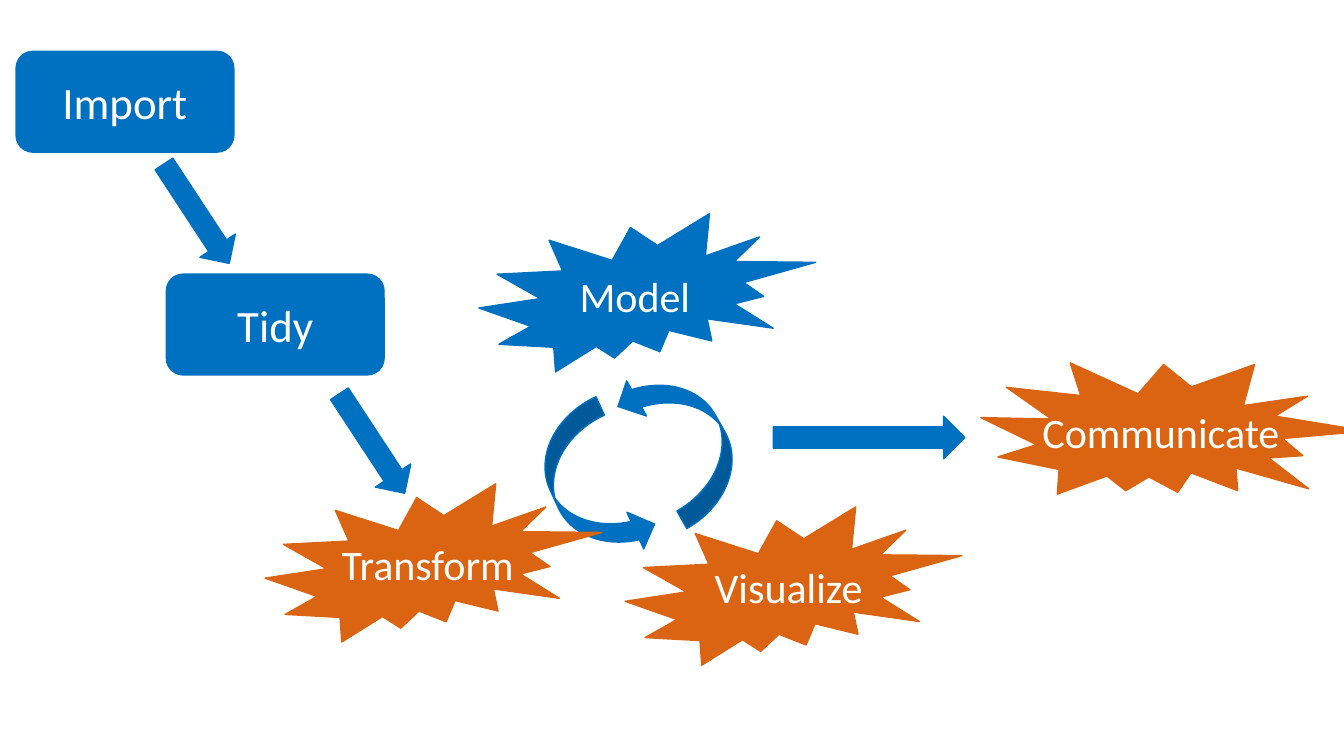
from pptx import Presentation
from pptx.dml.color import RGBColor
from pptx.enum.shapes import MSO_SHAPE
from pptx.enum.text import MSO_ANCHOR, MSO_AUTO_SIZE, PP_ALIGN
from pptx.util import Inches, Pt

BLUE, ORANGE, WHITE = "0070C0", "DB6413", "FFFFFF"
FONT = "Calibri"


def paint(color_format, color):
    """Give a fill, line or font colour its hex value."""
    color_format.rgb = RGBColor.from_string(color)


def write(shape, text, size, align):
    """Put one line of white text in a shape."""
    frame = shape.text_frame
    frame.text = text
    para = frame.paragraphs[0]
    para.alignment = align
    span = para.runs[0]
    span.font.name = FONT
    span.font.size = Pt(size)
    paint(span.font.color, WHITE)


def add_figure(page, kind, place, color=BLUE, rotation=0):
    """Add a preset shape with fill and outline in one colour."""
    shape = page.shapes.add_shape(kind, *map(Inches, place))
    shape.shadow.inherit = False
    shape.rotation = rotation
    shape.fill.solid()
    paint(shape.fill.fore_color, color)
    paint(shape.line.color, color)
    shape.line.width = Pt(1)
    return shape


def add_step(page, kind, place, text, size):
    """Add a blue shape with a centred step name."""
    shape = add_figure(page, kind, place)
    shape.text_frame.vertical_anchor = MSO_ANCHOR.MIDDLE
    write(shape, text, size, PP_ALIGN.CENTER)


def add_label(page, place, text):
    """Add a text box that holds a step name."""
    box = page.shapes.add_textbox(*map(Inches, place))
    box.text_frame.word_wrap = True
    box.text_frame.auto_size = MSO_AUTO_SIZE.SHAPE_TO_FIT_TEXT
    write(box, text, 30, PP_ALIGN.LEFT)


def main():
    """Build the data analysis workflow slide."""
    deck = Presentation()
    deck.slide_width, deck.slide_height = Inches(13.33), Inches(7.5)
    page = deck.slides.add_slide(deck.slide_layouts[6])

    for text, left, top in (("Import", 0.16, 0.51), ("Tidy", 1.65, 2.72)):
        add_step(page, MSO_SHAPE.ROUNDED_RECTANGLE, (left, top, 2.16, 1), text, 32)

    for left, top, rotation in ((5.48, 4.03, 335.3), (6.37, 3.56, 150.6)):
        add_figure(page, MSO_SHAPE.CURVED_RIGHT_ARROW, (left, top, 0.8, 1.59), rotation=rotation)

    for left, top, length, rotation in (
        (8.41, 3.39, 1.9, 270),
        (1.74, 1.53, 1.18, 326.7),
        (3.48, 3.81, 1.18, 326.7),
    ):
        add_figure(page, MSO_SHAPE.DOWN_ARROW, (left, top, 0.42, length), rotation=rotation)

    add_step(page, MSO_SHAPE.EXPLOSION2, (4.75, 2.12, 3.34, 1.57), "Model", 30)
    for left, top, width, rotation in (
        (6.2, 5.03, 3.34, 0),
        (9.73, 3.5, 3.8, 8.8),
        (2.63, 4.8, 3.34, 0),
    ):
        add_figure(page, MSO_SHAPE.EXPLOSION2, (left, top, width, 1.57), ORANGE, rotation)

    for text, left, top, width in (
        ("Communicate", 10.24, 3.98, 2.89),
        ("Visualize", 6.99, 5.52, 1.74),
        ("Transform", 3.29, 5.29, 1.95),
    ):
        add_label(page, (left, top, width, 0.61), text)

    deck.save("out.pptx")


main()
